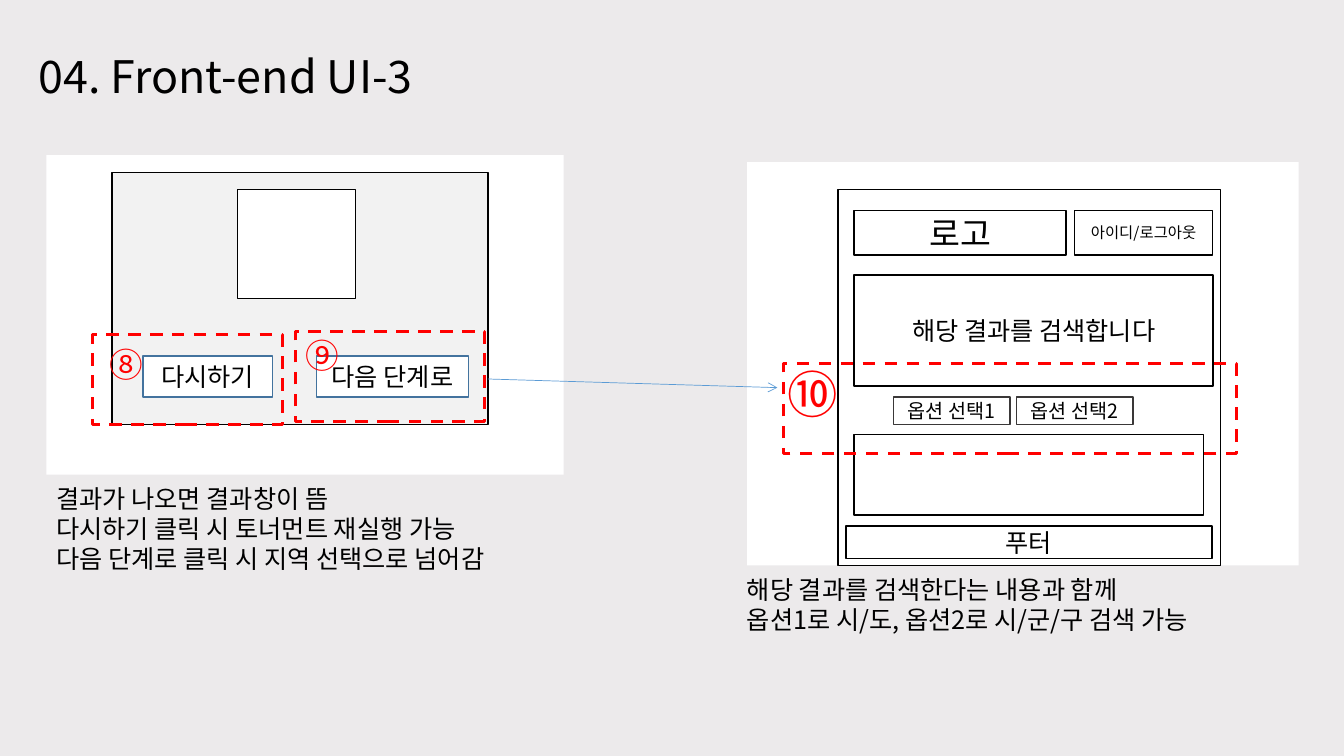
from lxml import etree
from pptx import Presentation, util as u
from pptx.dml.color import RGBColor
from pptx.enum import dml, shapes, text
from pptx.oxml.ns import qn

FONT = "Noto Sans CJK KR"
C = {"back": "ECEAEB", "white": "FFFFFF", "screen": "F2F2F2", "ink": "000000",
     "button": "43739E", "option": "3A3838", "mark": "FF0000", "arrow": "5B9BD5"}


def color(name):
    return RGBColor.from_string(C[name])


def within(box, share):
    x, y, w, h = box
    left, top, width, height = (v / 100 for v in share)
    return x + w * left, y + h * top, w * width, h * height


def inches(box):
    return [u.Inches(v) for v in box]


def write(sp, lines, size, ink="ink", **frame):
    tf = sp.text_frame
    for name, value in frame.items():
        setattr(tf, name, value)
    for i, line in enumerate(lines):
        p = tf.paragraphs[0] if i == 0 else tf.add_paragraph()
        r = p.add_run()
        r.text = line
        for name, value in {"size": u.Pt(size), "name": FONT}.items():
            setattr(r.font, name, value)
        r.font.color.rgb = color(ink)
        etree.SubElement(r._r.get_or_add_rPr(), qn("a:ea"), typeface=FONT)
    return tf


def write_top(sp, lines, size, ink="ink"):
    tf = write(sp, lines, size, ink, word_wrap=True,
               auto_size=text.MSO_AUTO_SIZE.NONE,
               vertical_anchor=text.MSO_ANCHOR.TOP,
               margin_top=u.Inches(0.05 + 0.13 * size / 72))
    for p in tf.paragraphs:
        p.alignment = text.PP_ALIGN.LEFT
        p.line_spacing = u.Pt(1.2 * size)


def add_text(s, box, lines, size, ink="ink"):
    sp = s.shapes.add_textbox(*inches(box))
    write_top(sp, lines, size, ink)
    return sp


def add_box(s, box, fill="white", line="ink", label=None, size=18):
    sp = s.shapes.add_shape(shapes.MSO_SHAPE.RECTANGLE, *inches(box))
    sp.shadow.inherit = False
    if fill:
        sp.fill.solid()
        sp.fill.fore_color.rgb = color(fill)
    else:
        sp.fill.background()
    if line:
        sp.line.color.rgb = color(line)
        sp.line.width = u.Pt(1)
    else:
        sp.line.fill.background()
    if label:
        tf = write(sp, [label], size, word_wrap=True, margin_left=0, margin_right=0,
                   vertical_anchor=text.MSO_ANCHOR.MIDDLE)
        tf.paragraphs[0].alignment = text.PP_ALIGN.CENTER
    return sp


def add_mark(s, box):
    sp = add_box(s, box, None, "mark")
    sp.line.width = u.Pt(2.25)
    sp.line.dash_style = dml.MSO_LINE.DASH


def add_title(s, box, title):
    sp = s.shapes.title
    for name, value in zip(("left", "top", "width", "height"), inches(box)):
        setattr(sp, name, value)
    write_top(sp, [title], 32)


def add_result_screen(s, box):
    add_box(s, box, line=None)
    add_box(s, within(box, (12.7, 5.4, 72.7, 78.9)), "screen")
    add_box(s, within(box, (37, 10.7, 22.8, 34.1)))
    for label, left, width in (("다시하기", 18.7, 25), ("다음 단계로", 52.2, 29.4)):
        add_box(s, within(box, (left, 62.8, width, 12.9)), line="button", label=label)
    for number, left, top, badge_left, badge_top in (
            ("⑧", 9, 56.2, 10.3, 56.2), ("⑨", 48.1, 55.2, 48.1, 53.3)):
        add_mark(s, within(box, (left, top, 36.6, 28.1)))
        add_text(s, within(box, (badge_left, badge_top, 8.4, 15.8)), [number], 24, "mark")


def add_search_screen(s, box):
    add_box(s, box, line=None)
    for share, line, label, size in (
            ((16.5, 6.8, 69.3, 93.2), "ink", None, 18),
            ((19.4, 12, 38.4, 11), "ink", "로고", 24),
            ((59.4, 12, 25, 11), "ink", "아이디/로그아웃", 11),
            ((19.4, 28, 65.1, 27.5), "ink", "해당 결과를 검색합니다", 18),
            ((26.5, 58.2, 21.2, 6.8), "option", "옵션 선택1", 14),
            ((48.8, 58.2, 21.2, 6.8), "option", "옵션 선택2", 14),
            ((17.9, 90.2, 66.4, 8), "ink", "푸터", 18),
            ((19.4, 67.5, 63.3, 20), "ink", None, 18)):
        add_box(s, within(box, share), line=line, label=label, size=size)
    add_mark(s, within(box, (6.6, 50, 82.1, 22.2)))
    return add_text(s, within(box, (5.5, 47, 13.7, 17.8)), ["⑩"], 36, "mark")


def add_arrow(s, start, target):
    x, y = inches(start)
    cx = s.shapes.add_connector(shapes.MSO_CONNECTOR.STRAIGHT, x, y, x, y)
    cx.end_connect(target, 1)
    cx.line.color.rgb = color("arrow")
    cx.line.width = u.Pt(0.5)
    etree.SubElement(cx.line._get_or_add_ln(), qn("a:tailEnd"), type="arrow")
    etree.SubElement(cx._element.spPr, qn("a:effectLst"))


def main():
    prs = Presentation()
    prs.slide_width, prs.slide_height = u.Inches(13.33), u.Inches(7.5)
    s = prs.slides.add_slide(prs.slide_layouts[5])
    s.background.fill.solid()
    s.background.fill.fore_color.rgb = color("back")
    add_title(s, (0.28, 0.38, 4.81, 0.64), "04. Front-end UI-3")
    add_text(s, (0.46, 4.71, 5.54, 1.01),
             ["결과가 나오면 결과창이 뜸", "다시하기 클릭 시 토너먼트 재실행 가능",
              "다음 단계로 클릭 시 지역 선택으로 넘어감"], 18)
    add_result_screen(s, (0.46, 1.54, 5.13, 3.17))
    badge = add_search_screen(s, (7.41, 1.61, 5.47, 4))
    add_text(s, (7.31, 5.61, 5.54, 0.71),
             ["해당 결과를 검색한다는 내용과 함께",
              "옵션1로 시/도, 옵션2로 시/군/구 검색 가능"], 18)
    add_arrow(s, (4.84, 3.76), badge)
    prs.save("out.pptx")


if __name__ == "__main__":
    main()
